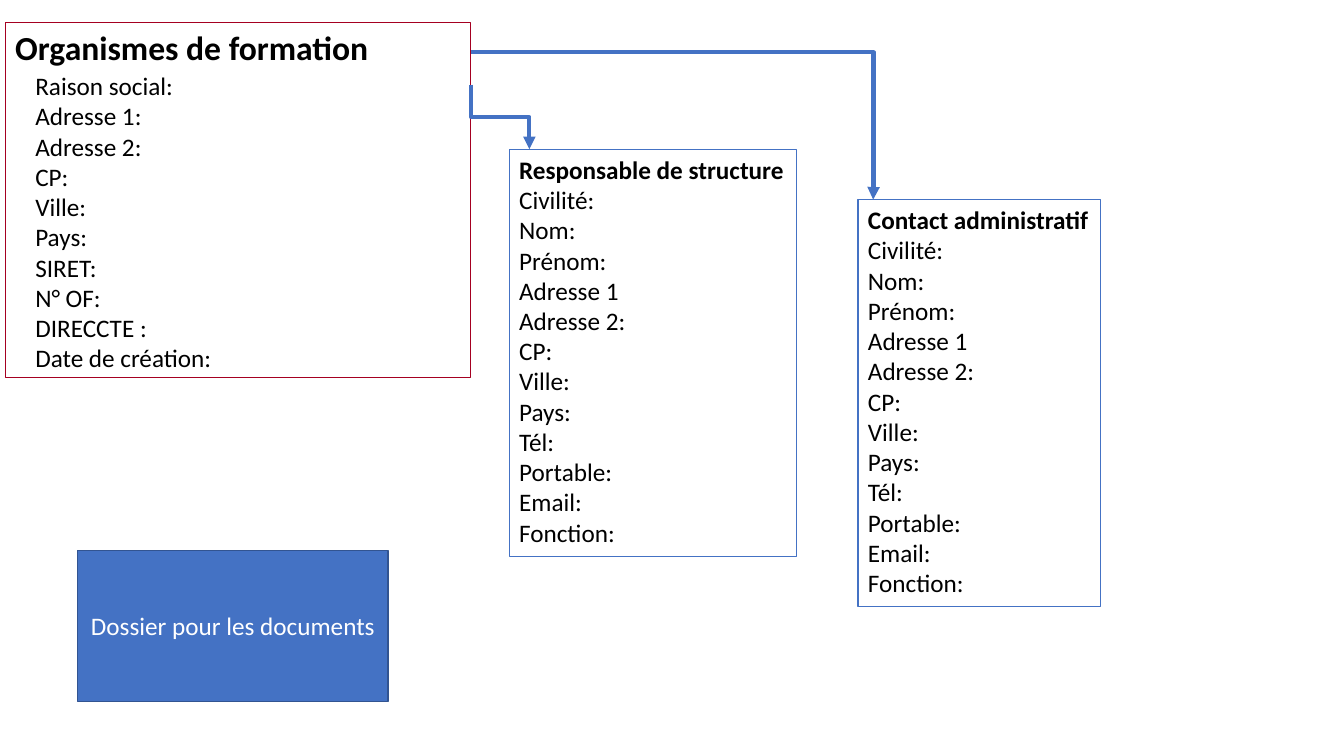
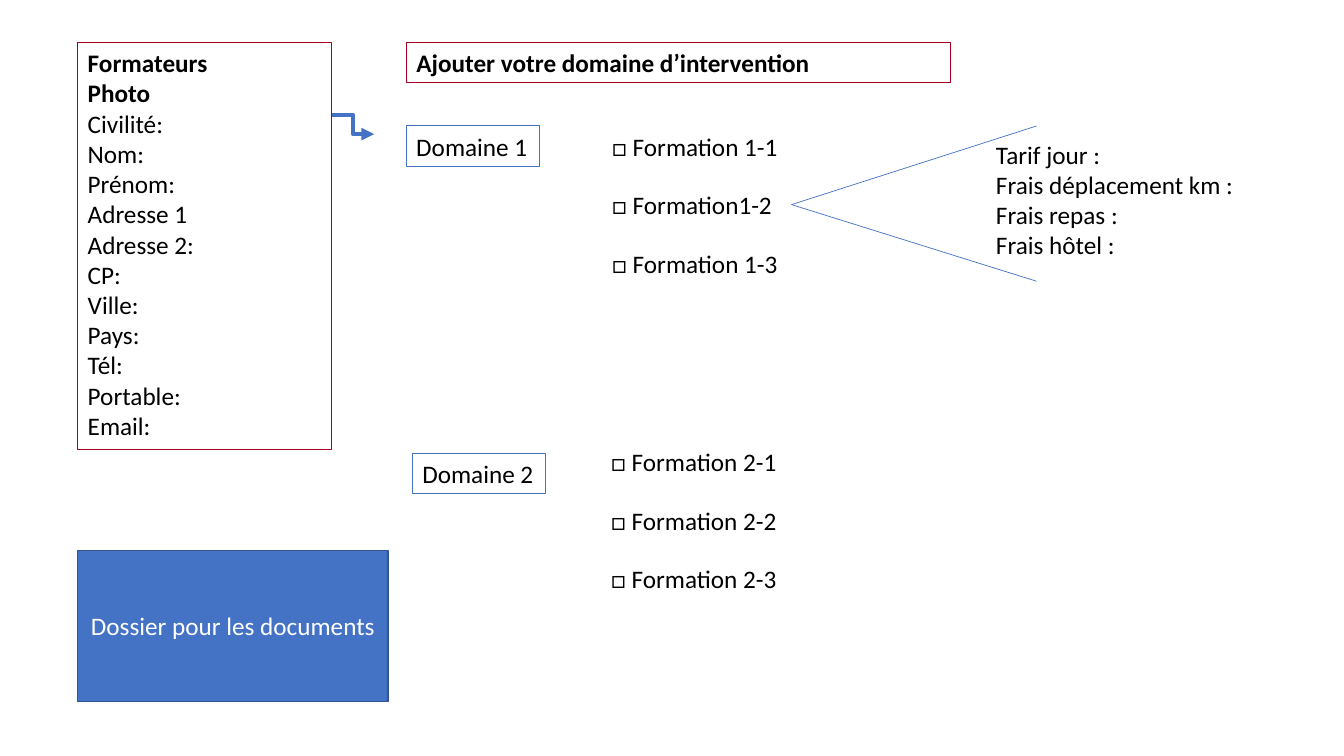
from dataclasses import dataclass
from typing import Optional

from lxml.etree import SubElement
from pptx import Presentation
from pptx.dml.color import RGBColor
from pptx.enum.shapes import MSO_CONNECTOR, MSO_SHAPE
from pptx.enum.text import MSO_ANCHOR, MSO_AUTO_SIZE, PP_ALIGN
from pptx.oxml.ns import qn
from pptx.util import Pt

PX = 9144  # 100 px to the inch
TITLE_AND_CONTENT = 1


@dataclass(frozen=True)
class Theme:
    font: str = "Calibri"
    text: str = "000000"
    white: str = "FFFFFF"
    red: str = "A50021"
    blue: str = "4472C4"
    dark_blue: str = "325491"
    heading_size: int = 24
    body_size: int = 18
    hairline: float = 0.5
    outline: float = 0.75
    folder_outline: float = 1
    arrow: float = 3


THEME = Theme()


@dataclass(frozen=True)
class Area:
    left: int
    top: int
    width: int
    height: int

    def emu(self) -> tuple[int, ...]:
        return tuple(n * PX for n in (self.left, self.top, self.width, self.height))


@dataclass(frozen=True)
class Card:
    area: Area
    lines: tuple[str, ...]
    bold_lines: int = 0
    outline: Optional[str] = None
    fill: Optional[str] = None


@dataclass(frozen=True)
class Arrow:
    start: tuple[int, int]
    end: tuple[int, int]
    bend: int = 50000
    vertical_first: bool = False


@dataclass(frozen=True)
class Domain:
    number: int
    label: tuple[int, int]
    courses: tuple[int, int]
    names: tuple[str, ...]


FOLDER = Area(77, 546, 308, 150)
COURSE_PITCH = 58
ADDRESS = ("CP:", "Ville:", "Pays:")
PERSON = ("Civilité:", "Nom:", "Prénom:", "Adresse 1", "Adresse 2:", *ADDRESS,
          "Tél:", "Portable:", "Email:")
ORGANISATION = ("Raison social:", "Adresse 1:", "Adresse 2:", *ADDRESS,
                "SIRET:", "N° OF:", "DIRECCTE :", "Date de création:")
CONTACTS = (
    Card(Area(505, 148, 285, 404), ("Responsable de structure", *PERSON, "Fonction:"),
         1, THEME.blue, THEME.white),
    Card(Area(851, 198, 241, 404), ("Contact administratif", *PERSON, "Fonction:"),
         1, THEME.blue, THEME.white),
)
CONTACT_ARROWS = (
    Arrow((467, 84), (525, 148), vertical_first=True),
    Arrow((467, 52), (866, 198), bend=100100),
)
DOMAINS = (
    Domain(1, (403, 125), (597, 125), ("Formation 1-1", "Formation1-2", "Formation 1-3")),
    Domain(2, (409, 450), (596, 438), ("Formation 2-1", "Formation 2-2", "Formation 2-3")),
)
COSTS = Card(Area(978, 133, 258, 131),
             ("Tarif jour :", "Frais déplacement km :", "Frais repas :", "Frais hôtel :"))
COSTS_ORIGIN = (785, 203)
COSTS_ENDS = ((1028, 125), (1028, 279))


def write(frame, lines: tuple[str, ...], bold_lines: int = 0,
          size: int = THEME.body_size, color: str = THEME.text,
          align: PP_ALIGN = PP_ALIGN.LEFT) -> None:
    frame.text = "\n".join(lines)
    for index, para in enumerate(frame.paragraphs):
        para.alignment = align
        para.space_before = Pt(0)
        for span in para.runs:
            span.font.name = THEME.font
            span.font.size = Pt(size)
            span.font.bold = index < bold_lines
            span.font.color.rgb = RGBColor.from_string(color)


def paint(shape, outline: Optional[str], fill: Optional[str] = None,
          width: float = THEME.outline) -> None:
    if fill:
        shape.fill.solid()
        shape.fill.fore_color.rgb = RGBColor.from_string(fill)
    if outline:
        shape.line.color.rgb = RGBColor.from_string(outline)
        shape.line.width = Pt(width)


def fill_placeholder(holder, card: Card, size: int = THEME.body_size,
                     anchor: MSO_ANCHOR = MSO_ANCHOR.TOP, indent: int = 0) -> None:
    """Move a placeholder and give it plain, unbulleted text."""
    holder.left, holder.top, holder.width, holder.height = card.area.emu()
    frame = holder.text_frame
    write(frame, card.lines, card.bold_lines, size)
    frame.word_wrap = True
    frame.auto_size = MSO_AUTO_SIZE.NONE
    frame.vertical_anchor = anchor
    for para in frame.paragraphs:
        properties = para._p.get_or_add_pPr()
        properties.set("marL", str(indent * PX))
        properties.set("indent", "0")
        SubElement(properties, qn("a:buNone"))
    paint(holder, card.outline, card.fill)


def add_card(page, card: Card) -> None:
    box = page.shapes.add_textbox(*card.area.emu())
    write(box.text_frame, card.lines, card.bold_lines)
    box.text_frame.word_wrap = False
    box.text_frame.auto_size = MSO_AUTO_SIZE.SHAPE_TO_FIT_TEXT
    paint(box, card.outline, card.fill)


def add_folder(page) -> None:
    folder = page.shapes.add_shape(MSO_SHAPE.RECTANGLE, *FOLDER.emu())
    folder.shadow.inherit = False
    paint(folder, THEME.dark_blue, THEME.blue, THEME.folder_outline)
    folder.text_frame.word_wrap = True
    folder.text_frame.vertical_anchor = MSO_ANCHOR.MIDDLE
    write(folder.text_frame, ("Dossier pour les documents",),
          color=THEME.white, align=PP_ALIGN.CENTER)


def add_line(page, kind: MSO_CONNECTOR, start: tuple[int, int],
             end: tuple[int, int], width: float):
    line = page.shapes.add_connector(kind, *(n * PX for n in (*start, *end)))
    paint(line, THEME.blue, width=width)
    SubElement(line.element.spPr, qn("a:effectLst"))
    return line


def add_arrow(page, arrow: Arrow) -> None:
    """Draw an elbow arrow; one that leaves vertically is turned by 270 degrees."""
    start, end = arrow.start, arrow.end
    if arrow.vertical_first:
        (x1, y1), (x2, y2) = start, end
        middle_x, middle_y = (x1 + x2) // 2, (y1 + y2) // 2
        half_x, half_y = (x2 - x1) // 2, (y2 - y1) // 2
        start = middle_x + half_y, middle_y - half_x
        end = middle_x - half_y, middle_y + half_x
    line = add_line(page, MSO_CONNECTOR.ELBOW, start, end, THEME.arrow)
    properties = line.element.spPr
    if arrow.vertical_first:
        properties.find(qn("a:xfrm")).set("rot", str(270 * 60000))
    adjustments = properties.find(qn("a:prstGeom")).find(qn("a:avLst"))
    SubElement(adjustments, qn("a:gd"), name="adj1", fmla=f"val {arrow.bend}")
    SubElement(properties.find(qn("a:ln")), qn("a:tailEnd"), type="triangle")


def add_domain(page, domain: Domain) -> None:
    add_card(page, Card(Area(*domain.label, 132, 40), (f"Domaine {domain.number}",),
                        outline=THEME.blue))
    left, top = domain.courses
    for index, name in enumerate(domain.names):
        add_card(page, Card(Area(left, top + index * COURSE_PITCH, 194, 40), (f"□ {name}",)))


def add_page(deck):
    """Add a slide and return it with its title and body placeholders."""
    page = deck.slides.add_slide(deck.slide_layouts[TITLE_AND_CONTENT])
    add_folder(page)
    return page, page.shapes.title, page.placeholders[1]


def build_organisation(deck) -> None:
    page, title, body = add_page(deck)
    fill_placeholder(title, Card(Area(5, 22, 462, 50), ("Organismes de formation",), 1),
                     THEME.heading_size)
    fill_placeholder(body, Card(Area(5, 22, 462, 353), ORGANISATION, outline=THEME.red),
                     anchor=MSO_ANCHOR.BOTTOM, indent=20)
    for card in CONTACTS:
        add_card(page, card)
    for arrow in CONTACT_ARROWS:
        add_arrow(page, arrow)


def build_trainers(deck) -> None:
    page, title, body = add_page(deck)
    fill_placeholder(title, Card(Area(403, 42, 540, 40),
                                 ("Ajouter votre domaine d’intervention",), 1, THEME.red))
    fill_placeholder(body, Card(Area(77, 42, 252, 404), ("Formateurs", "Photo", *PERSON),
                                2, THEME.red))
    add_arrow(page, Arrow((329, 114), (371, 133)))
    for domain in DOMAINS:
        add_domain(page, domain)
    add_card(page, COSTS)
    for end in COSTS_ENDS:
        add_line(page, MSO_CONNECTOR.STRAIGHT, COSTS_ORIGIN, end, THEME.hairline)


def main() -> None:
    deck = Presentation()
    deck.slide_width, deck.slide_height = 1333 * PX, 750 * PX
    build_organisation(deck)
    build_trainers(deck)
    deck.save("out.pptx")


if __name__ == "__main__":
    main()
